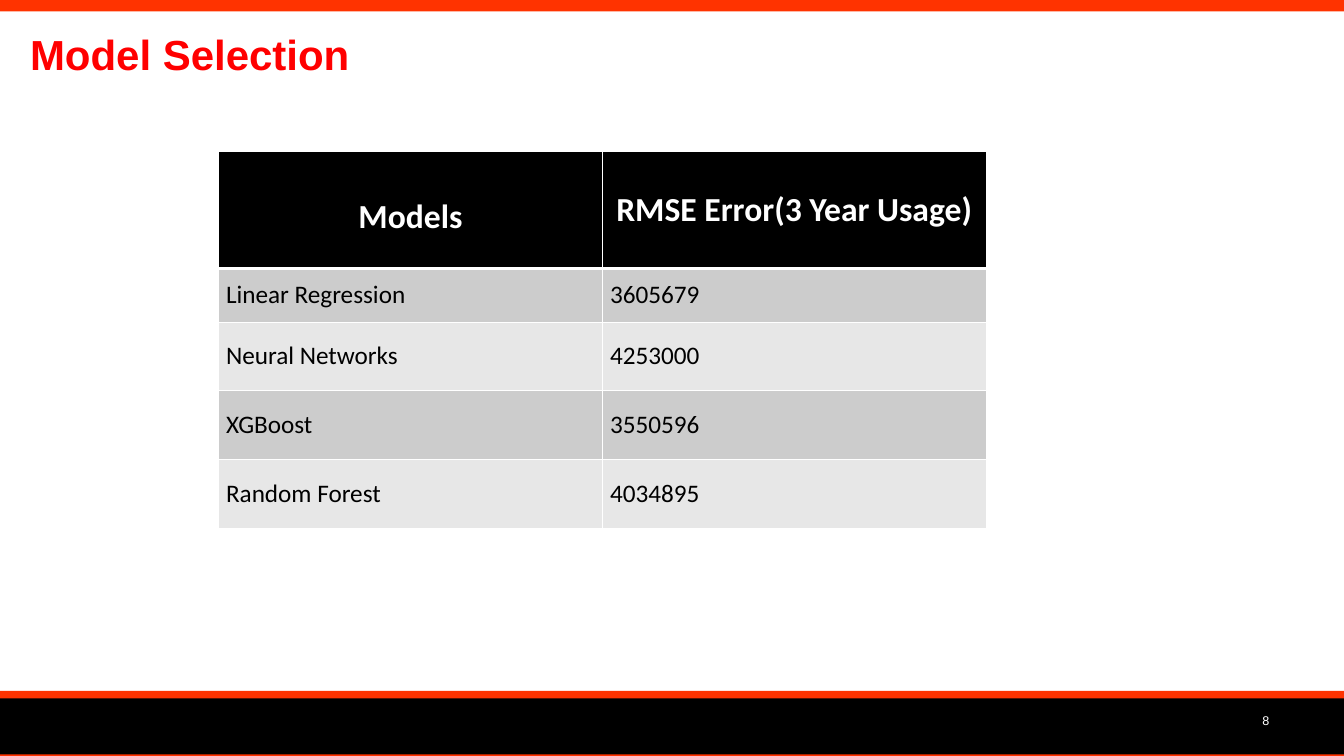
from lxml import etree
from pptx import Presentation
from pptx import util as u
from pptx.dml.color import RGBColor
from pptx.enum import shapes, text
from pptx.oxml.ns import qn

COLORS = {
    "orange": "FF3300", "black": "000000", "white": "FFFFFF",
    "title": "FF0000", "dark_band": "CCCCCC", "light_band": "E7E7E7",
}


class SlideBuilder:
    """Holds the style and the current slide."""

    heading_font = "Arial"
    table_font = "Calibri"

    def __init__(self, presentation):
        self.slide = presentation.slides.add_slide(presentation.slide_layouts[5])

    def color(self, name):
        return RGBColor.from_string(COLORS[name])

    def add_words(self, frame, words, font, size, color, align, bold=False):
        paragraph = frame.paragraphs[0]
        paragraph.alignment = align
        run = paragraph.add_run()
        run.text = words
        run.font.name = font
        run.font.size = u.Pt(size)
        run.font.bold = bold
        run.font.color.rgb = self.color(color)

    def bar(self, left, top, width, height, color):
        shape = self.slide.shapes.add_shape(
            shapes.MSO_SHAPE.RECTANGLE,
            *(u.Inches(n) for n in (left, top, width, height)))
        shape.shadow.inherit = False
        shape.fill.solid()
        shape.fill.fore_color.rgb = self.color(color)
        shape.line.fill.background()

    def title(self, words, left, top, width, height):
        shape = self.slide.shapes.title
        shape.left, shape.top = u.Inches(left), u.Inches(top)
        shape.width, shape.height = u.Inches(width), u.Inches(height)
        frame = shape.text_frame
        frame.word_wrap = False
        frame.auto_size = text.MSO_AUTO_SIZE.NONE
        frame.vertical_anchor = text.MSO_ANCHOR.MIDDLE
        self.add_words(frame, words, self.heading_font, 40, "title",
                       text.PP_ALIGN.CENTER, bold=True)

    def page_number(self, words, left, top, width, height):
        box = self.slide.shapes.add_textbox(
            *(u.Inches(n) for n in (left, top, width, height)))
        frame = box.text_frame
        frame.word_wrap = True
        frame.vertical_anchor = text.MSO_ANCHOR.MIDDLE
        self.add_words(frame, words, self.heading_font, 12, "white",
                       text.PP_ALIGN.RIGHT)

    def borders(self, cell, widths):
        properties = cell._tc.get_or_add_tcPr()
        for index, (side, width) in enumerate(widths.items()):
            line = etree.Element(qn(f"a:ln{side}"), w=str(u.Pt(width)))
            fill = etree.SubElement(line, qn("a:solidFill"))
            etree.SubElement(fill, qn("a:srgbClr"), val=COLORS["white"])
            properties.insert(index, line)

    def table(self, rows, left, top, column_width, heights):
        columns = len(rows[0])
        table = self.slide.shapes.add_table(
            len(rows), columns, u.Inches(left), u.Inches(top),
            u.Inches(column_width * columns), u.Inches(sum(heights))).table
        for column in table.columns:
            column.width = u.Inches(column_width)
        for r, (values, height) in enumerate(zip(rows, heights)):
            table.rows[r].height = u.Inches(height)
            header = r == 0
            band = "black" if header else ("light_band", "dark_band")[r % 2]
            for c, value in enumerate(values):
                cell = table.cell(r, c)
                cell.vertical_anchor = text.MSO_ANCHOR.MIDDLE
                cell.fill.solid()
                cell.fill.fore_color.rgb = self.color(band)
                self.borders(cell, {"L": 1, "R": 1, "T": 3 if r == 1 else 1,
                                    "B": 3 if header else 1})
                self.add_words(cell.text_frame, value, self.table_font,
                               32 if header else 24,
                               "white" if header else "black",
                               text.PP_ALIGN.CENTER if header else text.PP_ALIGN.LEFT,
                               bold=header)
        # The first heading sits a little lower than its neighbour
        table.cell(0, 0).margin_top = u.Inches(0.23)


def main():
    presentation = Presentation()
    presentation.slide_width = u.Inches(17.78)
    presentation.slide_height = u.Inches(10)
    builder = SlideBuilder(presentation)

    # Top and bottom bands
    builder.bar(0, 0, 17.81, 0.15, "orange")
    builder.bar(-0.03, 9.22, 17.82, 0.81, "black")
    builder.bar(-0.03, 9.14, 17.81, 0.1, "orange")
    builder.bar(-0.01, 9.98, 17.81, 0.05, "orange")

    # Title and page number
    builder.title("Model Selection", 0.22, 0.33, 4.58, 0.77)
    builder.page_number("8", 12.74, 9.27, 4.15, 0.53)

    # Model comparison
    models = [
        ("Models", "RMSE Error(3 Year Usage)"),
        ("Linear Regression", "3605679"),
        ("Neural Networks", "4253000"),
        ("XGBoost", "3550596"),
        ("Random Forest", "4034895"),
    ]
    builder.table(models, 2.89, 2, 5.08, [1.55, 0.71] + [0.91] * 3)

    presentation.save("out.pptx")


if __name__ == "__main__":
    main()
